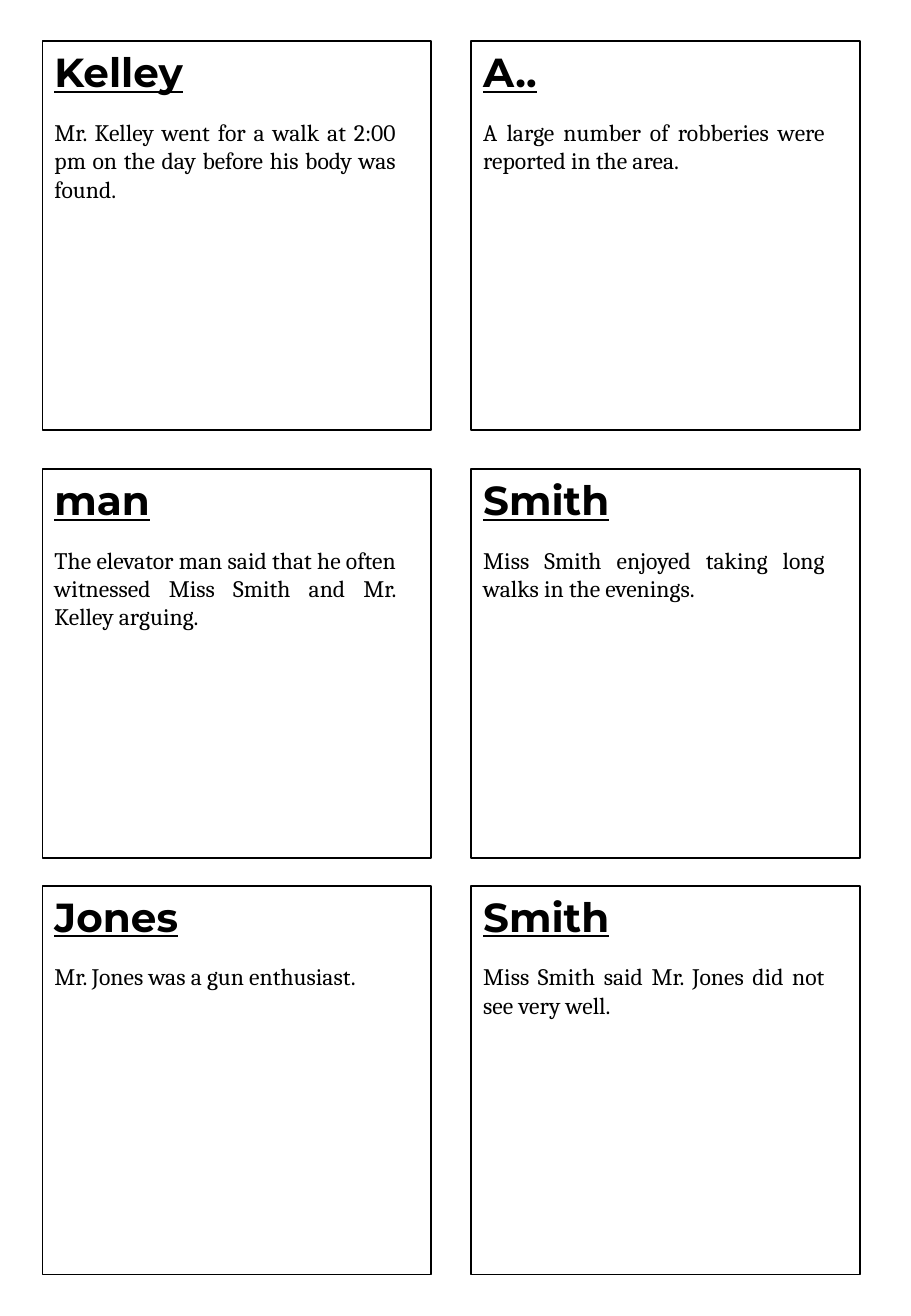
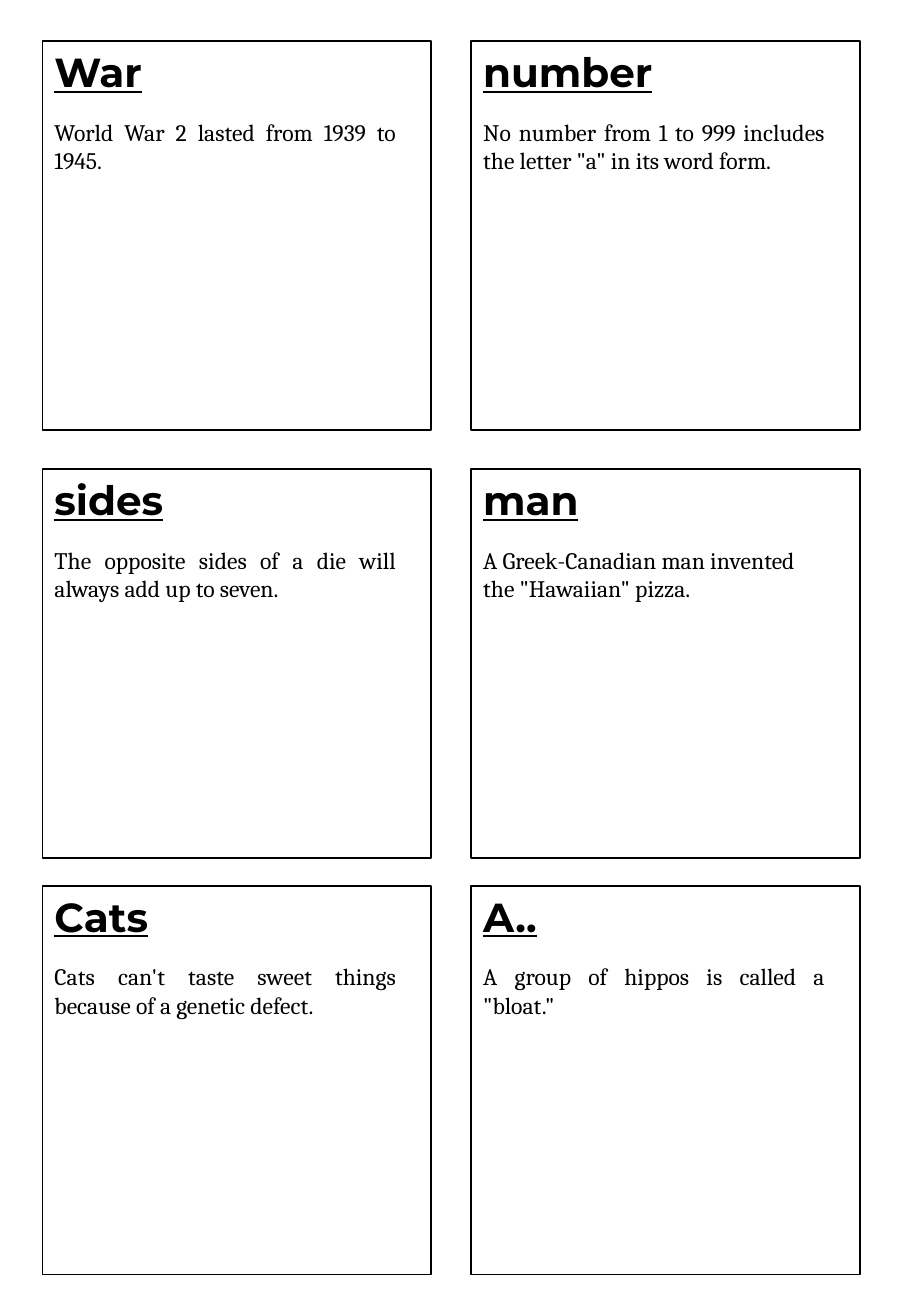
"""Build two sheets of clue cards, six cards to a sheet."""
from typing import NamedTuple

from pptx import Presentation
from pptx.dml.color import RGBColor
from pptx.enum.shapes import MSO_SHAPE as Shape
from pptx.enum.text import MSO_AUTO_SIZE as AutoSize, PP_ALIGN as Align
from pptx.util import Inches, Pt

BLACK = RGBColor(0x00, 0x00, 0x00)
WHITE = RGBColor(0xFF, 0xFF, 0xFF)
TITLE_FONT = "Montserrat"
CLUE_FONT = "Cambria"

COLUMN_LEFTS = (0.35, 3.88)
ROW_TOPS = (0.34, 3.86, 7.29)
CARD_SIZE = 3.2
TITLE_HEIGHT = 0.5
CLUE_OFFSET = 0.58
CLUE_WIDTH = 3.01
LINE_HEIGHT = 0.235
CLUE_PADDING = 0.1


class Card(NamedTuple):
    title: str
    clue: str
    lines: int = 2
    align: Align = Align.JUSTIFY


SHEETS = (
    (
        Card("Kelley", "Mr. Kelley went for a walk at 2:00 pm on the day before his body was found.", 3),
        Card("A..", "A large number of robberies were reported in the area."),
        Card("man", "The elevator man said that he often witnessed Miss Smith and Mr. Kelley arguing.", 4),
        Card("Smith", "Miss Smith enjoyed taking long walks in the evenings."),
        Card("Jones", "Mr. Jones was a gun enthusiast.", 1),
        Card("Smith", "Miss Smith said Mr. Jones did not see very well."),
    ),
    (
        Card("War", "World War 2 lasted from 1939 to 1945."),
        Card("number", 'No number from 1 to 999 includes the letter "a" in its word form.', 3),
        Card("sides", "The opposite sides of a die will always add up to seven."),
        Card("man", 'A Greek-Canadian man invented the "Hawaiian" pizza.', align=Align.LEFT),
        Card("Cats", "Cats can't taste sweet things because of a genetic defect."),
        Card("A..", 'A group of hippos is called a "bloat."'),
    ),
)


def add_frame(slide, left, top):
    """Draw the square outline of a card."""
    frame = slide.shapes.add_shape(
        Shape.RECTANGLE, Inches(left), Inches(top), Inches(CARD_SIZE), Inches(CARD_SIZE)
    )
    frame.shadow.inherit = False
    frame.fill.background()
    frame.line.color.rgb = BLACK
    frame.line.width = Pt(1)


def add_text(slide, text, left, top, width, height, font_name, size, align=Align.LEFT):
    """Add a wrapped text box and return the font of its text."""
    box = slide.shapes.add_textbox(Inches(left), Inches(top), Inches(width), Inches(height))
    frame = box.text_frame
    frame.word_wrap = True
    frame.auto_size = AutoSize.SHAPE_TO_FIT_TEXT
    paragraph = frame.paragraphs[0]
    paragraph.text = text
    paragraph.alignment = align
    font = paragraph.runs[0].font
    font.name = font_name
    font.size = Pt(size)
    font.color.rgb = BLACK
    return font


def add_card(slide, card, left, top):
    """Add a framed card with its underlined title and its clue."""
    add_frame(slide, left, top)
    title_font = add_text(
        slide, card.title, left, top, CARD_SIZE, TITLE_HEIGHT, TITLE_FONT, 24
    )
    title_font.bold = True
    title_font.underline = True
    clue_height = CLUE_PADDING + card.lines * LINE_HEIGHT
    add_text(
        slide, card.clue, left, top + CLUE_OFFSET, CLUE_WIDTH, clue_height,
        CLUE_FONT, 14, card.align,
    )


def add_sheet(deck, cards):
    """Add a slide and lay its cards out row by row."""
    slide = deck.slides.add_slide(deck.slide_layouts[6])
    slide.background.fill.solid()
    slide.background.fill.fore_color.rgb = WHITE
    for index, card in enumerate(cards):
        row, column = divmod(index, len(COLUMN_LEFTS))
        add_card(slide, card, COLUMN_LEFTS[column], ROW_TOPS[row])


def main():
    """Build and save the deck."""
    deck = Presentation()
    deck.slide_width = Inches(7.5)
    deck.slide_height = Inches(10.83)
    for cards in SHEETS:
        add_sheet(deck, cards)
    deck.save("out.pptx")


if __name__ == "__main__":
    main()
